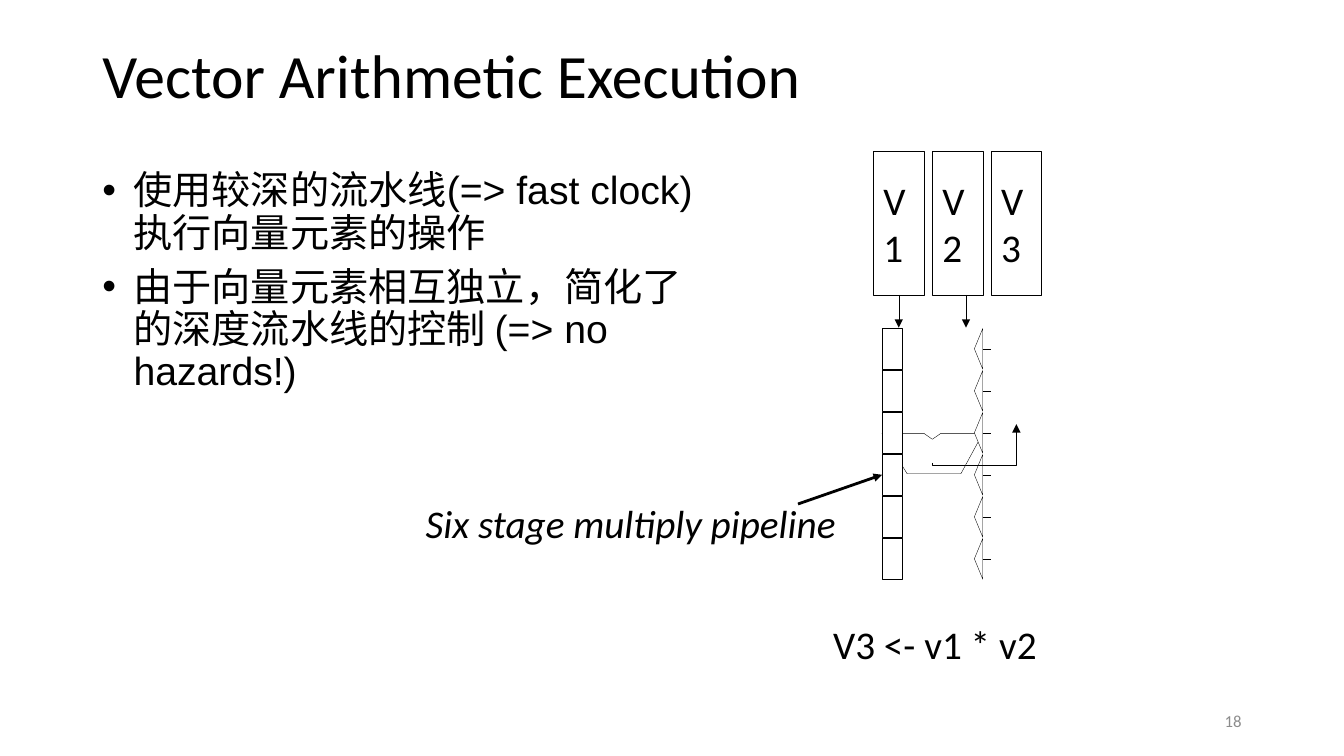
from dataclasses import dataclass

from lxml.etree import SubElement
from pptx import Presentation
from pptx.dml.color import RGBColor
from pptx.enum.shapes import MSO_CONNECTOR as Connector, MSO_SHAPE as Shape
from pptx.enum.text import MSO_ANCHOR as Anchor, MSO_AUTO_SIZE as AutoSize, PP_ALIGN as Align
from pptx.oxml.ns import qn
from pptx.util import Inches, Pt


@dataclass(frozen=True)
class Theme:
    ink: RGBColor = RGBColor(0, 0, 0)
    paper: RGBColor = RGBColor(255, 255, 255)
    muted: RGBColor = RGBColor(0x8C, 0x8C, 0x8C)
    font: str = "Calibri"
    body_font: str = "Arial"
    title_size: float = 44
    text_size: float = 28
    number_size: float = 12
    thin: float = 0.25
    thick: float = 2


THEME = Theme()
COLUMNS, ROWS = 160, 90
SLIDE_WIDTH, SLIDE_HEIGHT = Inches(13.33), Inches(7.5)
STAGE_COUNT, STAGE_TOP, STAGE_PITCH, STAGE_HEIGHT = 6, 39.1, 5, 4.85


def grid(column, row):
    return round(column * SLIDE_WIDTH / COLUMNS), round(row * SLIDE_HEIGHT / ROWS)


def box(column, row, columns, rows):
    return *grid(column, row), *grid(columns, rows)


def add_run(paragraph, text, size=THEME.text_size, color=THEME.ink, font=THEME.font, italic=False):
    run = paragraph.add_run()
    run.text = text
    run.font.size = Pt(size)
    run.font.name = font
    run.font.color.rgb = color
    run.font.italic = italic


def add_label(slide, area, text, wrap=False, align=Align.LEFT, anchor=Anchor.MIDDLE, **style):
    frame = slide.shapes.add_textbox(*box(*area)).text_frame
    frame.word_wrap = wrap
    frame.vertical_anchor = anchor
    frame.paragraphs[0].alignment = align
    add_run(frame.paragraphs[0], text, **style)


def set_title(slide, area, text):
    title = slide.shapes.title
    title.left, title.top, title.width, title.height = box(*area)
    frame = title.text_frame
    frame.auto_size = AutoSize.NONE
    frame.vertical_anchor = Anchor.TOP
    paragraph = frame.paragraphs[0]
    paragraph.alignment = Align.LEFT
    paragraph.line_spacing = 0.9
    add_run(paragraph, text, size=THEME.title_size)


def add_bullets(slide, area, items):
    frame = slide.shapes.add_textbox(*box(*area)).text_frame
    frame.word_wrap = True
    frame.vertical_anchor = Anchor.MIDDLE
    for index, item in enumerate(items):
        paragraph = frame.add_paragraph() if index else frame.paragraphs[0]
        paragraph.line_spacing = 0.9
        paragraph.space_before = Pt(0.3 * THEME.text_size)
        properties = paragraph._p.get_or_add_pPr()
        properties.set("marL", str(Inches(0.31)))
        properties.set("indent", str(-Inches(0.31)))
        SubElement(properties, qn("a:buFont"), typeface=THEME.body_font)
        SubElement(properties, qn("a:buChar"), char="•")
        add_run(paragraph, item, font=THEME.body_font)


def set_outline(shape, width=THEME.thin, arrow=False):
    shape.line.color.rgb = THEME.ink
    shape.line.width = Pt(width)
    if arrow:
        SubElement(shape.line._get_or_add_ln(), qn("a:tailEnd"), type="triangle")


def set_fill(shape, color):
    if color is None:
        shape.fill.background()
    else:
        shape.fill.solid()
        shape.fill.fore_color.rgb = color


def add_rectangle(slide, area, fill=None):
    rectangle = slide.shapes.add_shape(Shape.RECTANGLE, *box(*area))
    rectangle.shadow.inherit = False
    set_fill(rectangle, fill)
    set_outline(rectangle)
    return rectangle


def add_outline(slide, points, close=True, fill=None, arrow=False):
    corners = [grid(*point) for point in points]
    builder = slide.shapes.build_freeform(*corners[0])
    builder.add_line_segments(corners[1:], close=close)
    outline = builder.convert_to_shape()
    outline.shadow.inherit = False
    set_fill(outline, fill)
    set_outline(outline, arrow=arrow)


def add_line(slide, start, end, width=THEME.thin, arrow=False):
    line = slide.shapes.add_connector(Connector.STRAIGHT, *grid(*start), *grid(*end))
    set_outline(line, width, arrow)
    SubElement(line._element.spPr, qn("a:effectLst"))
    return line


def add_register(slide, column, name):
    register = add_rectangle(slide, (column, 18, 6, 17.1))
    frame = register.text_frame
    frame.word_wrap = True
    frame.vertical_anchor = Anchor.MIDDLE
    frame.paragraphs[0].alignment = Align.LEFT
    add_run(frame.paragraphs[0], name)
    return register


def add_stage(slide, row):
    middle, bottom = row + STAGE_HEIGHT / 2, row + STAGE_HEIGHT
    latch = add_rectangle(slide, (105, row, 2.4, STAGE_HEIGHT), THEME.paper)
    add_outline(slide, [(117, bottom), (116, middle), (117, row)], fill=THEME.paper)
    add_line(slide, (117, middle), (118, middle))
    return latch


def main():
    presentation = Presentation()
    presentation.slide_width, presentation.slide_height = SLIDE_WIDTH, SLIDE_HEIGHT
    slide = presentation.slides.add_slide(presentation.slide_layouts[5])

    set_title(slide, (11, 4.8, 138, 17.4), "Vector Arithmetic Execution")
    add_label(slide, (113, 83.4, 36, 4.8), "18", wrap=True, align=Align.RIGHT,
              size=THEME.number_size, color=THEME.muted)
    add_bullets(slide, (11, 19.5, 73, 28.3), [
        "使用较深的流水线(=> fast clock) 执行向量元素的操作",
        "由于向量元素相互独立，简化了的深度流水线的控制 (=> no hazards!)",
    ])

    add_outline(slide, [(105, 51.6), (108, 56.4), (114.4, 56.4), (117, 51.6),
                        (112, 51.6), (111, 52.3), (110, 51.6)])
    stages = [add_stage(slide, STAGE_TOP + STAGE_PITCH * index) for index in range(STAGE_COUNT)]
    add_outline(slide, [(111, 55.1), (111, 55.4), (121, 55.4), (121, 50.5)],
                close=False, arrow=True)

    registers = [add_register(slide, 104 + 7 * index, f"V{index + 1}") for index in range(3)]
    first_operand = add_line(slide, (107, 35.1), (107, 39), arrow=True)
    first_operand.begin_connect(registers[0], 2)
    add_line(slide, (115, 35.1), (115, 39), arrow=True)

    add_label(slide, (98, 73.2, 26.9, 6.8), "V3 <- v1 * v2")
    add_label(slide, (49.5, 58.9, 53, 6.8), "Six stage multiply pipeline",
              anchor=Anchor.TOP, italic=True)
    pointer = add_line(slide, (95, 60), (105, 57), THEME.thick, arrow=True)
    pointer.end_connect(stages[3], 1)

    presentation.save("out.pptx")


if __name__ == "__main__":
    main()
